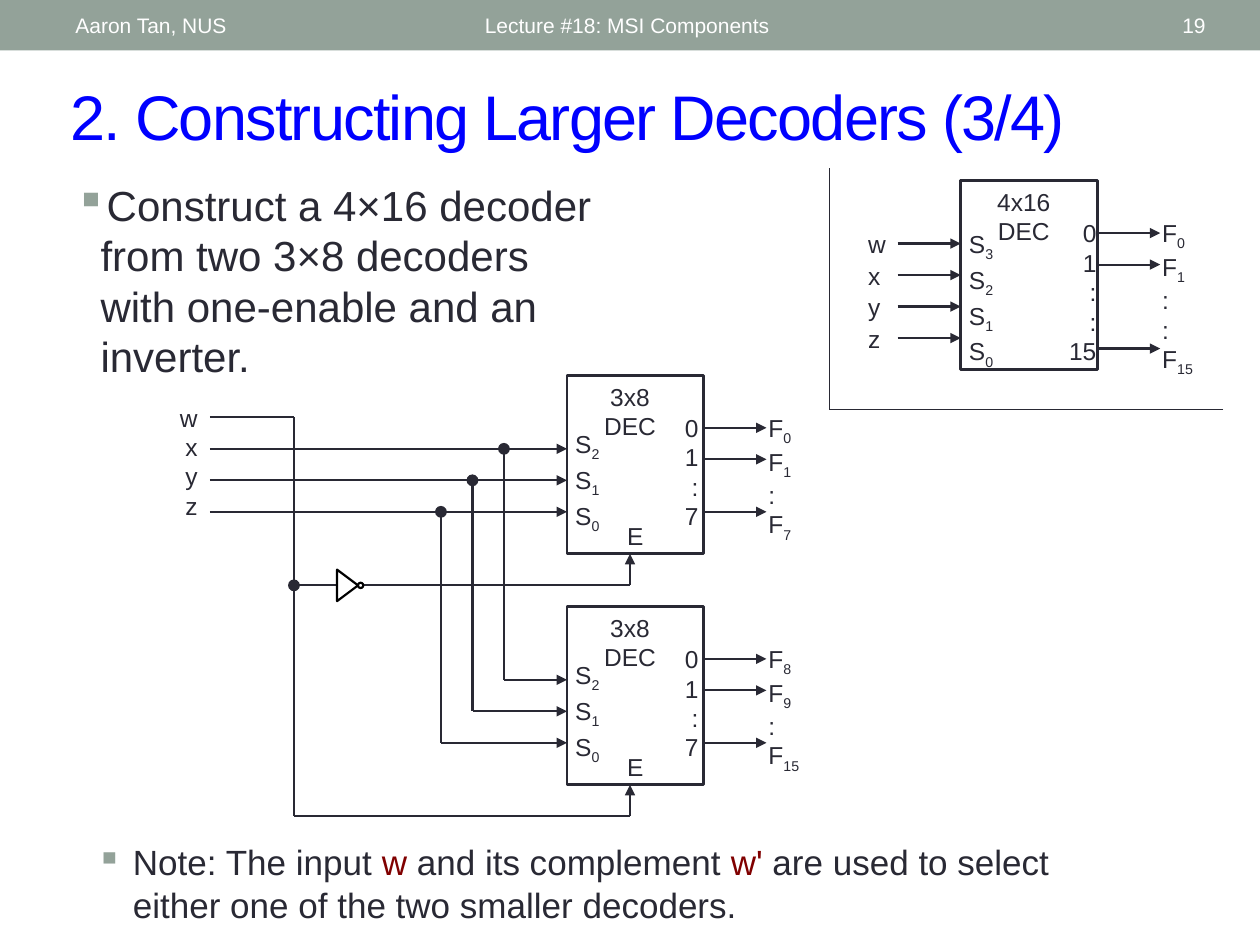
from dataclasses import dataclass

from lxml.etree import SubElement
from pptx import Presentation
from pptx.dml.color import RGBColor
from pptx.enum.shapes import MSO_CONNECTOR, MSO_SHAPE
from pptx.enum.text import MSO_ANCHOR, MSO_AUTO_SIZE, PP_ALIGN
from pptx.oxml.ns import qn
from pptx.util import Inches, Pt


@dataclass(frozen=True)
class Theme:
    font: str = "Arial"
    ink: str = "292934"
    accent: str = "93A299"
    title: str = "0000FF"
    variable: str = "800000"
    white: str = "FFFFFF"
    black: str = "000000"
    title_size: int = 36
    body_size: int = 24
    note_size: int = 20
    label_size: int = 14
    header_size: int = 12
    box_line: float = 1.5
    wire_line: float = 1.25
    thin_line: float = 0.75


THEME = Theme()
UNIT = Inches(10) / 120  # one column or row of the drawing grid
LEFT, CENTER, RIGHT = PP_ALIGN.LEFT, PP_ALIGN.CENTER, PP_ALIGN.RIGHT
CIRCUIT = (54, 35.75)
SUMMARY = (91.5, 17.2)
STAGE = 22  # rows between the two small decoders
BOX_W = 13
SELECT_ROWS = (7, 10, 13)
ENABLE_COL, ENABLE_ROW = 6, 20


def grid(*values):
    return [round(v * UNIT) for v in values]


def rgb(color):
    return RGBColor.from_string(color)


def write(tf, paras, size=THEME.label_size, color=THEME.ink, align=LEFT,
          before=0, anchor=MSO_ANCHOR.TOP):
    """Fill a frame; a paragraph is a string, with _ before a subscript,
    or a list of (text, color) runs."""
    tf.word_wrap = True
    tf.vertical_anchor = anchor
    for i, para in enumerate(paras):
        p = tf.paragraphs[0] if i == 0 else tf.add_paragraph()
        p.alignment = align
        p.space_before = Pt(size * before)
        if isinstance(para, str):
            runs = [(part, color, k) for k, part in enumerate(para.split("_"))]
        else:
            runs = [(text, c, 0) for text, c in para]
        for text, run_color, is_sub in runs:
            r = p.add_run()
            r.text = text
            r.font.name = THEME.font
            r.font.size = Pt(size)
            r.font.color.rgb = rgb(run_color)
            if is_sub:
                r.font._element.set("baseline", "-25000")


def add_text(shapes, x, y, w, h, paras, **fmt):
    box = shapes.add_textbox(*grid(x, y, w, h))
    write(box.text_frame, paras, **fmt)
    return box


def add_label(shapes, x, y, w, paras, **fmt):
    """Add a small text whose height follows from its number of lines."""
    box = add_text(shapes, x, y, w, 1.2 + 2.8 * len(paras), paras, **fmt)
    box.text_frame.auto_size = MSO_AUTO_SIZE.SHAPE_TO_FIT_TEXT


def add_bullet(shapes, x, y, w, h, para, indent, **fmt):
    box = add_text(shapes, x, y, w, h, [para], before=0.2, **fmt)
    pPr = box.text_frame.paragraphs[0]._p.get_or_add_pPr()
    pPr.set("marL", str(Inches(indent)))
    pPr.set("indent", str(-Inches(indent)))
    SubElement(SubElement(pPr, qn("a:buClr")), qn("a:srgbClr"), val=THEME.accent)
    SubElement(pPr, qn("a:buChar"), char="▪")


def add_shape(shapes, kind, x, y, w, h, fill=None, line=None, width=THEME.wire_line):
    sp = shapes.add_shape(kind, *grid(x, y, w, h))
    sp.shadow.inherit = False
    if fill:
        sp.fill.solid()
        sp.fill.fore_color.rgb = rgb(fill)
    else:
        sp.fill.background()
    if line:
        sp.line.color.rgb = rgb(line)
        sp.line.width = Pt(width)
    else:
        sp.line.fill.background()
    return sp


def add_wire(shapes, *points, arrow=False, width=THEME.wire_line):
    """Join points by straight lines, the last with an arrowhead on request."""
    for i, (start, end) in enumerate(zip(points, points[1:]), 2):
        line = shapes.add_connector(MSO_CONNECTOR.STRAIGHT, *grid(*start, *end))
        line.line.color.rgb = rgb(THEME.ink)
        line.line.width = Pt(width)
        if arrow and i == len(points):
            SubElement(line.line._get_or_add_ln(), qn("a:tailEnd"), type="triangle")
        SubElement(line._element.spPr, qn("a:effectLst"))


def add_dot(shapes, x, y):
    add_shape(shapes, MSO_SHAPE.OVAL, x - 0.5, y - 0.5, 1, 1,
              fill=THEME.ink, line=THEME.ink, width=THEME.thin_line)


def add_decoder(shapes, x, y, height, name, selects, select_y, numbers,
                number_right, outputs, output_rows):
    add_shape(shapes, MSO_SHAPE.RECTANGLE, x, y, BOX_W, height,
              line=THEME.ink, width=THEME.box_line)
    add_label(shapes, x + 1, y, 10, [name, "DEC"], align=CENTER)
    add_label(shapes, x - 0.4, y + select_y, 5.6, selects, before=0.1)
    add_label(shapes, x + number_right - 5, y + 3, 5, numbers, align=RIGHT)
    add_label(shapes, x + 18, y + 3, 7, outputs)
    for row in output_rows:
        add_wire(shapes, (x + BOX_W, y + row), (x + BOX_W + 6, y + row), arrow=True)


def add_small_decoder(shapes, x, y, outputs):
    add_decoder(shapes, x, y, 17, "3x8", ["S_2", "S_1", "S_0"], 4.5,
                ["0", "1", ":", "7"], 13.7, outputs, (5, 8, 13))
    add_label(shapes, x + 4, y + 13.3, 5, ["E"], align=CENTER)


def add_inverter(shapes, x, y):
    """Draw a triangle pointing right, with a bubble, around its centre."""
    for kind, cx, w, h in ((MSO_SHAPE.FLOWCHART_MERGE, x, 3, 2),
                           (MSO_SHAPE.OVAL, x + 1.25, 0.5, 0.5)):
        sp = add_shape(shapes, kind, cx - w / 2, y - h / 2, w, h, line=THEME.black)
        sp.rotation = 270


def add_circuit(s):
    shapes = s.shapes.add_group_shape().shapes
    x, y = CIRCUIT
    start, trunk = x - 34, x - 26
    enable = x + ENABLE_COL
    for top, outputs in ((y, ["F_0", "F_1", ":", "F_7"]),
                         (y + STAGE, ["F_8", "F_9", ":", "F_15"])):
        add_small_decoder(shapes, x, top, outputs)
    add_label(shapes, x - 39, y + 2, 5, list("wxyz"), align=RIGHT)

    for i, row in enumerate(SELECT_ROWS):
        tap, level = x - 6 - 3 * i, y + row
        add_wire(shapes, (start, level), (x, level), arrow=True)
        add_wire(shapes, (tap, level), (tap, level + STAGE), (x, level + STAGE), arrow=True)
        add_dot(shapes, tap, level)

    low = y + ENABLE_ROW
    add_wire(shapes, (start, y + 4), (trunk, y + 4), (trunk, low + STAGE),
             (enable, low + STAGE), (enable, y + 17 + STAGE), arrow=True)
    add_wire(shapes, (trunk, low), (trunk + 4, low))
    add_wire(shapes, (trunk + 6.6, low), (enable, low), (enable, y + 17), arrow=True)
    add_inverter(shapes, trunk + 5.1, low)
    add_dot(shapes, trunk, low)


def add_summary(s):
    shapes = s.shapes.add_group_shape().shapes
    x, y = SUMMARY
    add_decoder(shapes, x, y, 18, "4x16", ["S_3", "S_2", "S_1", "S_0"], 4,
                ["0", "1", ":", ":", "15"], 14.1,
                ["F_0", "F_1", ":", ":", "F_15"], (5, 8, 16))
    add_label(shapes, x - 10, y + 4, 4, list("wxyz"), before=0.1)
    for row in (6, 9, 12, 15):
        add_wire(shapes, (x - 6, y + row), (x, y + row), arrow=True)
    add_wire(s.shapes, (116.5, 39), (79, 39), (79, 16), width=THEME.thin_line)


def add_header(s):
    add_shape(s.shapes, MSO_SHAPE.RECTANGLE, 0, 0, 120, 4.8, fill=THEME.accent)
    for x, w, text, align in ((6, 38, "Aaron Tan, NUS", LEFT),
                              (45, 54, "Lecture #18: MSI Components", LEFT),
                              (104.6, 11.4, "19", RIGHT)):
        add_text(s.shapes, x, 0.25, w, 4.3, [text], size=THEME.header_size,
                 color=THEME.white, align=align, anchor=MSO_ANCHOR.MIDDLE)


def add_title(s, text):
    title = s.shapes.title
    title.left, title.top, title.width, title.height = grid(5.5, 6.8, 110.5, 8.4)
    write(title.text_frame, [text], size=THEME.title_size, color=THEME.title,
          anchor=MSO_ANCHOR.MIDDLE)
    title.text_frame.auto_size = MSO_AUTO_SIZE.NONE
    title.text_frame.paragraphs[0].runs[0].font._element.set("spc", "-100")


def main():
    prs = Presentation()
    prs.slide_width, prs.slide_height = Inches(10), Inches(7.5)
    s = prs.slides.add_slide(prs.slide_layouts[5])
    add_header(s)
    add_title(s, "2. Constructing Larger Decoders (3/4)")
    add_bullet(s.shapes, 6, 16.5, 53, 21,
               "Construct a 4×16 decoder from two 3×8 decoders with one-enable and an inverter.",
               0.2, size=THEME.body_size)
    add_summary(s)
    add_circuit(s)
    note = [("Note: The input ", THEME.ink), ("w", THEME.variable),
            (" and its complement ", THEME.ink), ("w'", THEME.variable),
            (" are used to select either one of the two smaller decoders.", THEME.ink)]
    add_bullet(s.shapes, 8, 79.5, 99.5, 9, note, 0.29, size=THEME.note_size)
    prs.save("out.pptx")


if __name__ == "__main__":
    main()
